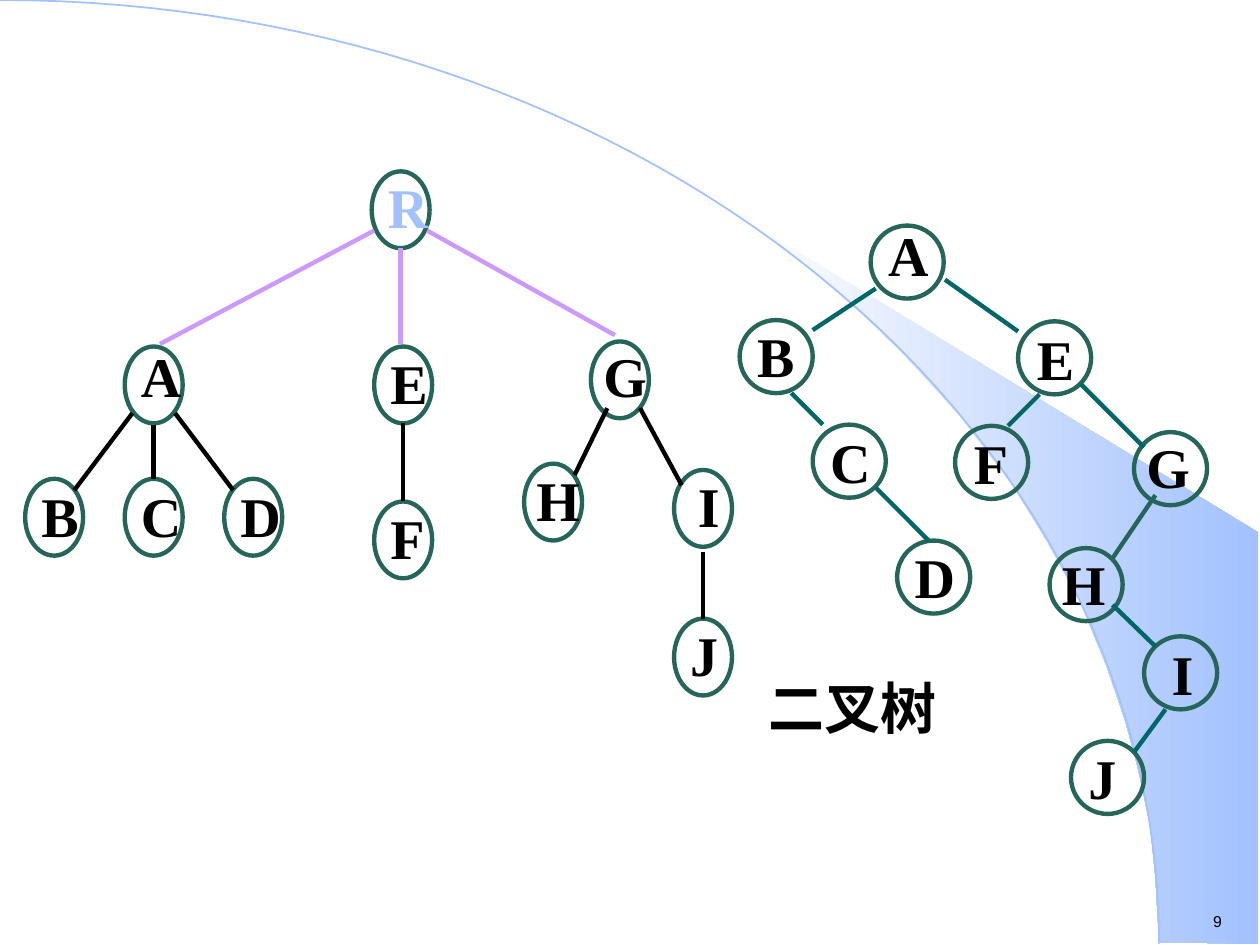
from math import cos, pi, sin

from lxml.etree import SubElement
from pptx import Presentation
from pptx.dml.color import RGBColor
from pptx.enum.shapes import MSO_CONNECTOR as CONN, MSO_SHAPE as SHAPE
from pptx.oxml.ns import qn
from pptx.util import Inches, Pt

WHITE = RGBColor(0xFF, 0xFF, 0xFF)
BLACK = RGBColor(0, 0, 0)
BLUE = RGBColor(0xA2, 0xC1, 0xFE)
GREEN = RGBColor(0x26, 0x66, 0x5A)
TEAL = RGBColor(0x00, 0x66, 0x66)
PURPLE = RGBColor(0xCC, 0x99, 0xFF)

ARC_W, ARC_H, ARC_STEPS = 9.2, 7.49, 60
WEDGE = [
    (9.2, 7.48), (9.99, 7.49), (9.99, 4.23), (5.89, 1.73), (6.24, 1.99),
    (6.53, 2.22), (6.85, 2.5), (7.16, 2.8), (7.62, 3.3), (8.03, 3.84),
    (8.32, 4.31), (8.58, 4.79), (8.78, 5.28), (8.93, 5.72), (9.03, 6.09),
    (9.13, 6.56), (9.17, 6.96),
]

BINARY_SIZE = (0.58, 0.58)
BINARY_NODES = [
    ("G", 9, 3.43, 0, -0.05, 1), ("J", 8.5, 5.88, 0.04, -0.08, 1.1),
    ("H", 8.33, 4.35, 0, -0.09, 1.1), ("I", 9.08, 5.05, 0.12, -0.08, 1.1),
    ("F", 7.58, 3.38, 0.05, -0.08, 1.1), ("E", 8.08, 2.55, 0.05, -0.08, 1.1),
    ("A", 6.91, 1.79, 0.04, -0.09, 1), ("C", 6.45, 3.37, 0.04, -0.08, 1.1),
    ("B", 5.87, 2.54, 0.04, -0.09, 1.1), ("D", 7.12, 4.29, 0.04, -0.09, 1.1),
]
BINARY_EDGES = [
    (8.58, 3.05, 9.08, 3.55), (8.83, 4.8, 9.17, 5.13), (9.25, 5.63, 9, 5.97),
    (8.25, 3.13, 8, 3.38), (7.5, 2.22, 8.08, 2.63), (6.95, 2.29, 6.45, 2.62),
    (6.95, 3.87, 7.37, 4.29), (6.28, 3.12, 6.53, 3.37),
]
GH_EDGE = [(9.17, 3.93, 8.83, 4.43)]

TREE_SIZE = (0.46, 0.61)
TREE_NODES = [
    ("A", 0.99, 2.75, 0.03, -0.09, 1), ("C", 0.99, 3.8, 0.03, -0.08, 1.1),
    ("B", 0.2, 3.8, 0.03, -0.08, 1.1), ("D", 1.78, 3.8, 0.03, -0.08, 1.1),
    ("F", 2.97, 3.98, 0.03, -0.09, 1.1), ("E", 2.97, 2.75, 0.03, -0.09, 1.1),
    ("G", 4.69, 2.71, 0, -0.05, 1), ("J", 5.35, 4.91, 0.03, -0.09, 1.1),
    ("H", 4.16, 3.68, 0, -0.09, 1.1), ("I", 5.35, 3.73, 0.09, -0.09, 1.1),
]
TREE_ROOT = [("R", 2.95, 1.36, 0.03, -0.09, 1.1)]
TREE_EDGES = [
    (1.22, 3.37, 1.22, 3.8), (1.05, 3.28, 0.59, 3.89), (1.39, 3.28, 1.85, 3.89),
    (3.2, 3.36, 3.2, 3.98), (4.82, 3.24, 4.56, 3.77), (5.08, 3.24, 5.41, 3.85),
    (5.58, 4.38, 5.58, 4.91),
]
ROOT_EDGES = [
    (2.97, 1.83, 1.27, 2.73), (3.18, 1.97, 3.18, 2.73), (3.39, 1.83, 4.88, 2.66),
]


class TreeSlide:
    font = "Times New Roman"
    size = 32
    stroke = Pt(2.5)

    def __init__(self, prs):
        self.s = prs.slides.add_slide(prs.slide_layouts[6])

    def outline(self, points, close):
        (x, y), *rest = [(Inches(px), Inches(py)) for px, py in points]
        builder = self.s.shapes.build_freeform(x, y)
        builder.add_line_segments(rest, close=close)
        sp = builder.convert_to_shape()
        sp.shadow.inherit = False
        return sp

    def wedge(self, points):
        sp = self.outline(points, True)
        sp.line.fill.background()
        sp.fill.gradient()
        sp.fill.gradient_angle = 0
        for stop, position, color in zip(sp.fill.gradient_stops, (0, 1), (WHITE, BLUE)):
            stop.position = position
            stop.color.rgb = color

    def arc(self, width, height, steps):
        angles = [pi / 2 * i / steps for i in range(steps + 1)]
        points = [(width * sin(a), height * (1 - cos(a))) for a in angles]
        sp = self.outline(points, False)
        sp.fill.background()
        sp.line.color.rgb = BLUE
        sp.line.width = Pt(1)

    def text(self, words, x, y, w, h, color=BLACK, spacing=1, size=size,
             font=font, bold=True, wrap=True):
        box = self.s.shapes.add_textbox(Inches(x), Inches(y), Inches(w), Inches(h))
        tf = box.text_frame
        tf.word_wrap = wrap
        p = tf.paragraphs[0]
        p.text = words
        p.line_spacing = float(spacing)
        p.font.name = font
        p.font.size = Pt(size)
        p.font.bold = bold
        p.font.color.rgb = color

    def node(self, size, letter, x, y, dx, dy, spacing, color):
        w, h = size
        sp = self.s.shapes.add_shape(SHAPE.OVAL, Inches(x), Inches(y), Inches(w), Inches(h))
        sp.shadow.inherit = False
        sp.fill.background()
        sp.line.color.rgb = GREEN
        sp.line.width = self.stroke
        text_h = 0.63 if spacing == 1 else 0.69
        self.text(letter, x + dx, y + dy, w, text_h, color, spacing)

    def nodes(self, rows, size, color=BLACK):
        for row in rows:
            self.node(size, *row, color)

    def edges(self, rows, color):
        for row in rows:
            line = self.s.shapes.add_connector(CONN.STRAIGHT, *map(Inches, row))
            line.line.color.rgb = color
            line.line.width = self.stroke
            SubElement(line._element.spPr, qn("a:effectLst"))


def main():
    prs = Presentation()
    prs.slide_width, prs.slide_height = Inches(10), Inches(7.5)
    slide = TreeSlide(prs)

    slide.wedge(WEDGE)
    slide.arc(ARC_W, ARC_H, ARC_STEPS)
    slide.text("9", 9.53, 7.19, 0.35, 0.25, size=9, font="Arial", bold=False, wrap=False)

    slide.text("二叉树", 6, 5.3, 1.83, 0.63)
    slide.nodes(BINARY_NODES, BINARY_SIZE)
    slide.edges(GH_EDGE, GREEN)
    slide.edges(BINARY_EDGES, TEAL)

    slide.nodes(TREE_NODES, TREE_SIZE)
    slide.edges(TREE_EDGES, BLACK)
    slide.nodes(TREE_ROOT, TREE_SIZE, BLUE)
    slide.edges(ROOT_EDGES, PURPLE)

    prs.save("out.pptx")


if __name__ == "__main__":
    main()
